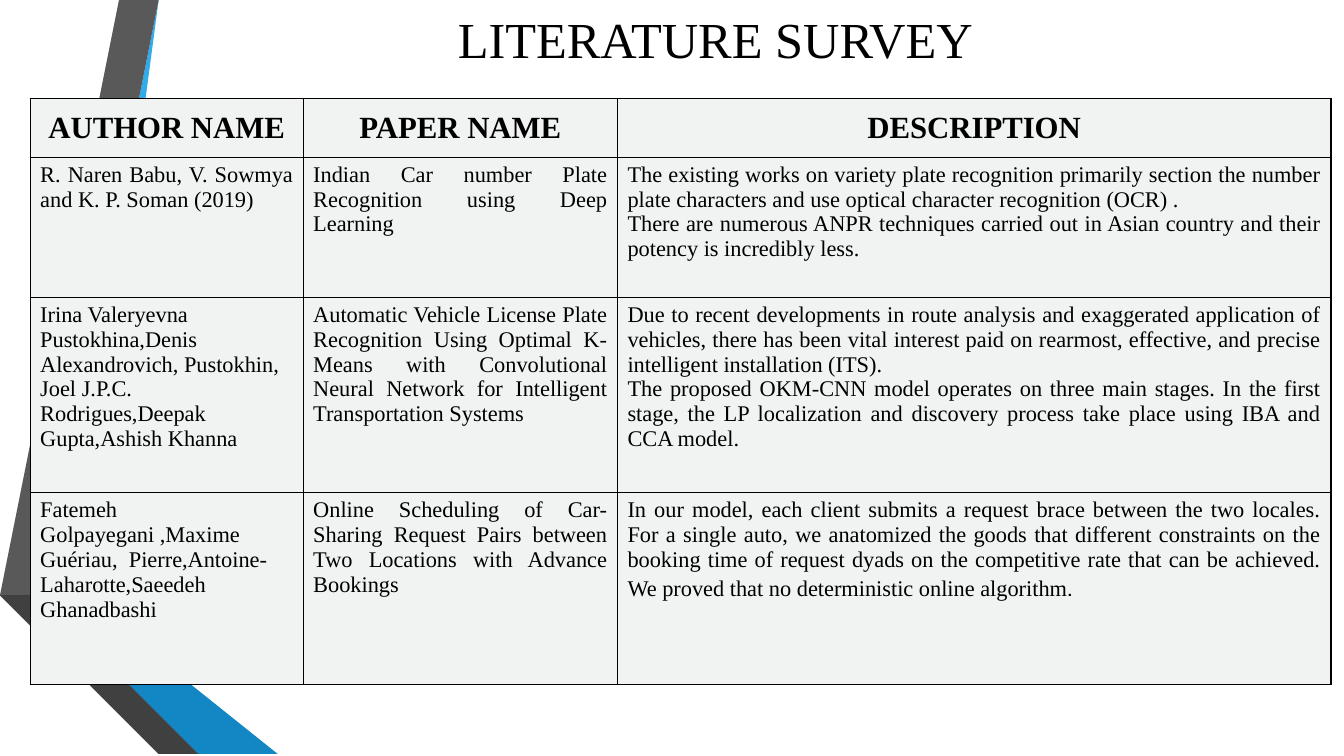
from lxml.etree import SubElement
from pptx import Presentation
from pptx.dml.color import RGBColor
from pptx.enum.text import MSO_ANCHOR as Anchor, PP_ALIGN as Align
from pptx.oxml.ns import qn
from pptx.util import Cm, Pt

BLACK = RGBColor(0x00, 0x00, 0x00)
CELL_GRAY = RGBColor(0xF1, 0xF2, 0xF2)
SKY_BLUE = RGBColor(0x30, 0xAC, 0xEC)
BLUE = RGBColor(0x12, 0x87, 0xC3)
DEEP_BLUE = RGBColor(0x0C, 0x5A, 0x82)
GRAY = RGBColor(0x59, 0x59, 0x59)
DARK_GRAY = RGBColor(0x40, 0x40, 0x40)
CHARCOAL = RGBColor(0x26, 0x26, 0x26)
SERIF = "Times New Roman"

# Corners in centimetres, from back to front
RIBBONS = [
    (SKY_BLUE, [(1.27, 14.68), (1.96, 14.81), (4.39, 0), (3.68, 0)]),
    (GRAY, [(3.53, 0), (2.82, 0), (0.41, 14.55), (1.12, 14.66)]),
    (CHARCOAL, [(0.41, 14.55), (3.68, 19.05), (3.84, 19.05)]),
    (DEEP_BLUE, [(1.27, 14.71), (5.28, 19.05), (5.44, 19.05)]),
    (BLUE, [(1.27, 14.68), (1.27, 14.71), (5.44, 19.05), (7.19, 19.05), (1.96, 14.81)]),
    (DARK_GRAY, [(5.13, 19.05), (1.22, 14.81), (1.09, 14.68), (1.12, 14.66),
                 (0.41, 14.55), (3.84, 19.05)]),
]

COLUMN_WIDTHS = [6.88, 7.92, 17.98]
ROW_HEIGHTS = [1.47, 3.53, 4.93, 4.83]

# Each line of a cell is a paragraph
SURVEY = [
    ("AUTHOR NAME", "PAPER NAME", "DESCRIPTION"),
    ("R. Naren Babu, V. Sowmya and K. P. Soman (2019)",
     "Indian Car number Plate Recognition using Deep Learning",
     "The existing works on variety plate recognition primarily section the number plate "
     "characters and use optical character recognition (OCR) .\n"
     "There are numerous ANPR techniques carried out in Asian country and their potency is "
     "incredibly less. "),
    ("Irina Valeryevna Pustokhina,Denis Alexandrovich, Pustokhin, Joel J.P.C. "
     "Rodrigues,Deepak Gupta,Ashish Khanna",
     "Automatic Vehicle License Plate Recognition Using Optimal K-Means with Convolutional "
     "Neural Network for Intelligent Transportation Systems",
     "Due to recent developments in route analysis and exaggerated application of vehicles, "
     "there has been vital interest paid on rearmost, effective, and precise intelligent "
     "installation (ITS). \n"
     "The proposed OKM-CNN model operates on three main stages. In the first stage, the LP "
     "localization and discovery process take place using IBA and CCA model."),
    ("Fatemeh Golpayegani ,Maxime Guériau,  Pierre,Antoine-Laharotte,Saeedeh Ghanadbashi",
     "Online Scheduling of Car-Sharing Request Pairs between Two Locations with Advance "
     "Bookings",
     "In our model, each client submits a request brace between the two locales. For a single "
     "auto, we anatomized the goods that different constraints on the booking time of request "
     "dyads on the competitive rate that can be achieved. We proved that no deterministic "
     "online algorithm"),
]


def style_paragraph(paragraph, size, alignment, bold=False):
    paragraph.alignment = alignment
    paragraph.font.name = SERIF
    paragraph.font.size = Pt(size)
    paragraph.font.bold = bold
    paragraph.font.color.rgb = BLACK


def add_borders(cell):
    properties = cell._tc.get_or_add_tcPr()
    for side in ("a:lnL", "a:lnR", "a:lnT", "a:lnB"):
        line = SubElement(properties, qn(side), w=str(Pt(1)))
        fill = SubElement(line, qn("a:solidFill"))
        SubElement(fill, qn("a:srgbClr"), val=str(BLACK))


presentation = Presentation()
presentation.slide_width = Cm(33.87)
presentation.slide_height = Cm(19.05)
slide = presentation.slides.add_slide(presentation.slide_layouts[6])

for color, corners in RIBBONS:
    builder = slide.shapes.build_freeform(*corners[0], scale=Cm(1))
    builder.add_line_segments(corners[1:], close=True)
    ribbon = builder.convert_to_shape()
    ribbon.shadow.inherit = False
    ribbon.fill.solid()
    ribbon.fill.fore_color.rgb = color
    ribbon.line.fill.background()

title = slide.shapes.add_textbox(Cm(4.11), Cm(0.25), Cm(27.84), Cm(1.42))
title_frame = title.text_frame
title_frame.word_wrap = True
title_frame.vertical_anchor = Anchor.MIDDLE
title_frame.text = "LITERATURE SURVEY"
style_paragraph(title_frame.paragraphs[0], 36, Align.CENTER)

table = slide.shapes.add_table(
    len(ROW_HEIGHTS), len(COLUMN_WIDTHS), Cm(0.76), Cm(2.49),
    Cm(sum(COLUMN_WIDTHS)), Cm(sum(ROW_HEIGHTS))).table
table.first_row = False
table.horz_banding = False
for column, width in zip(table.columns, COLUMN_WIDTHS):
    column.width = Cm(width)
for row, height in zip(table.rows, ROW_HEIGHTS):
    row.height = Cm(height)

for row_index, texts in enumerate(SURVEY):
    is_header = row_index == 0
    for column_index, text in enumerate(texts):
        cell = table.cell(row_index, column_index)
        add_borders(cell)
        cell.fill.solid()
        cell.fill.fore_color.rgb = CELL_GRAY
        cell.vertical_anchor = Anchor.MIDDLE if is_header else Anchor.TOP
        cell.text_frame.text = text
        if is_header:
            alignment = Align.CENTER
        elif column_index == 0 and row_index > 1:
            alignment = Align.LEFT
        else:
            alignment = Align.JUSTIFY
        for paragraph in cell.text_frame.paragraphs:
            style_paragraph(paragraph, 22 if is_header else 16, alignment, is_header)

# The closing full stop is set larger, in another font
full_stop = table.cell(3, 2).text_frame.paragraphs[0].add_run()
full_stop.text = "."
full_stop.font.name = "Cabin"
full_stop.font.size = Pt(18)
full_stop.font.color.rgb = BLACK

presentation.save("out.pptx")
